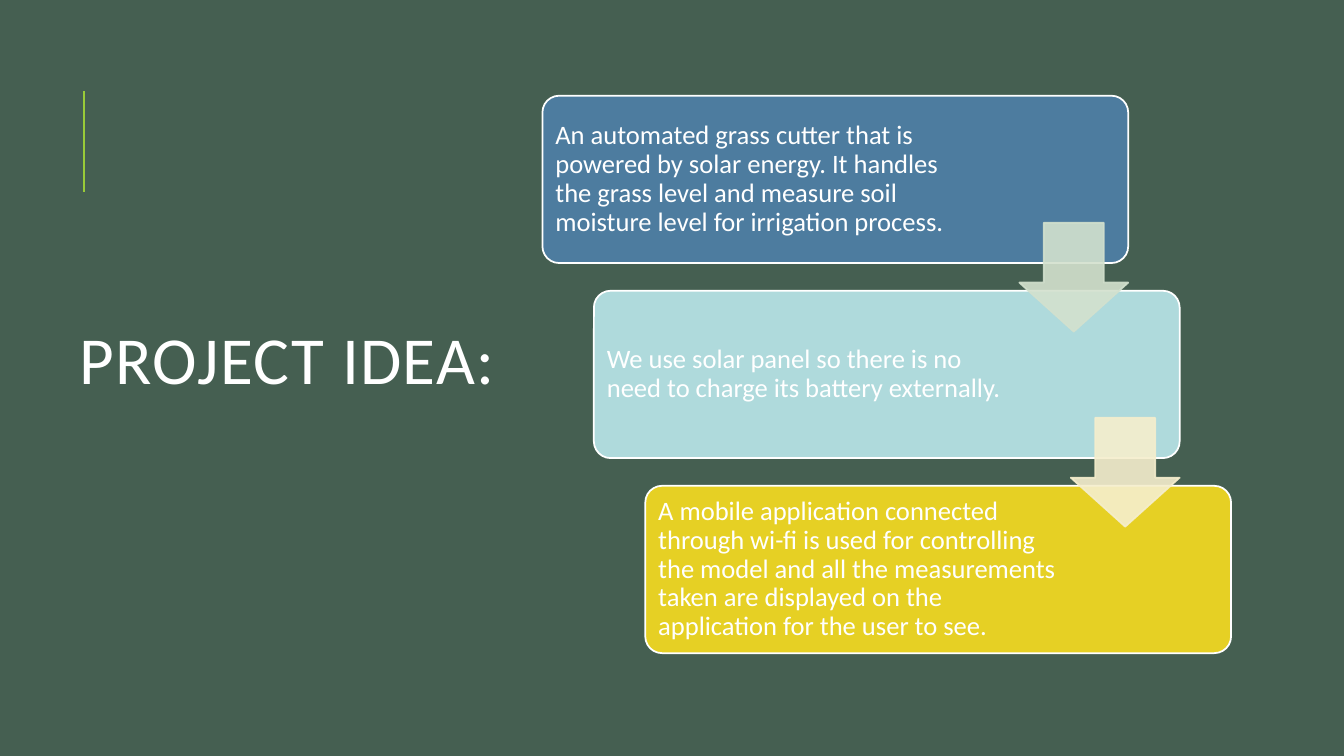
import pptx
import pptx.dml.color
import pptx.enum.shapes
import pptx.enum.text
import pptx.oxml
import pptx.oxml.ns
import pptx.util
from dataclasses import dataclass

Inches = pptx.util.Inches
Shapes = pptx.enum.shapes.MSO_SHAPE
TITLE = "PROJECT IDEA:"
IDEAS = [
    ("An automated grass cutter that is powered by solar energy. It handles the grass level "
     "and measure soil moisture level for irrigation process.", "4D7C9F"),
    ("We use solar panel so there is no need to charge its battery externally.", "AFDADC"),
    ("A mobile application connected through wi-fi is used for controlling the model and all "
     "the measurements taken are displayed on the application for the user to see.", "E6D024"),
]
ARROW_COLORS = ["D3E1CE", "F5EECD"]


@dataclass
class Theme:
    background: str = "455F51"
    accent: str = "99CB38"
    white: str = "FFFFFF"
    font: str = "Calibri"
    title_size: int = 48
    body_size: int = 19
    accent_width: float = 1.5
    outline_width: float = 1.25
    arrow_opacity: int = 90


theme = Theme()
CARD_LEFT, CARD_TOP = 5.38, 0.95
CARD_WIDTH, CARD_HEIGHT = 5.81, 1.66
STEP_X, STEP_Y = 0.51, 1.935
ARROW_SIZE, ARROW_DROP = 1.08, 1.26
TEXT_INSET, ARROW_MARGIN = 0.08, 1.67


def rgb(value):
    return pptx.dml.color.RGBColor.from_string(value)


def add_text(paragraph, text, size, spacing):
    paragraph.alignment = pptx.enum.text.PP_ALIGN.LEFT
    paragraph.line_spacing = spacing
    run = paragraph.add_run()
    run.text = text
    run.font.name = theme.font
    run.font.size = pptx.util.Pt(size)
    run.font.color.rgb = rgb(theme.white)
    return run


def add_block(slide, kind, box, adjustments, fill, outline):
    shape = slide.shapes.add_shape(kind, *map(Inches, box))
    shape.shadow.inherit = False
    for index, value in enumerate(adjustments):
        shape.adjustments[index] = value
    shape.fill.solid()
    shape.fill.fore_color.rgb = rgb(fill)
    shape.line.color.rgb = rgb(outline)
    shape.line.width = pptx.util.Pt(theme.outline_width)
    return shape


def set_opacity(shape, percent):
    for color in shape.element.spPr.iter(pptx.oxml.ns.qn("a:srgbClr")):
        alpha = pptx.oxml.parse_xml(f'<a:alpha {pptx.oxml.ns.nsdecls("a")} val="{percent * 1000}"/>')
        color.append(alpha)


def add_title(slide):
    title = slide.shapes.title
    title.left, title.top, title.width, title.height = map(Inches, (0.69, 0.54, 4.59, 6.17))
    frame = title.text_frame
    frame.auto_size = pptx.enum.text.MSO_AUTO_SIZE.NONE
    frame.vertical_anchor = pptx.enum.text.MSO_ANCHOR.MIDDLE
    run = add_text(frame.paragraphs[0], TITLE, theme.title_size, 0.8)
    run.font._element.set("spc", "100")


def add_accent(slide):
    ends = map(Inches, (0.83, 1.9, 0.83, 0.9))
    accent = slide.shapes.add_connector(pptx.enum.shapes.MSO_CONNECTOR.STRAIGHT, *ends)
    accent.line.color.rgb = rgb(theme.accent)
    accent.line.width = pptx.util.Pt(theme.accent_width)
    no_effects = pptx.oxml.parse_xml(f'<a:effectLst {pptx.oxml.ns.nsdecls("a")}/>')
    accent._element.spPr.append(no_effects)


def add_card(slide, index, text, fill):
    box = (CARD_LEFT + index * STEP_X, CARD_TOP + index * STEP_Y, CARD_WIDTH, CARD_HEIGHT)
    card = add_block(slide, Shapes.ROUNDED_RECTANGLE, box, [0.1], fill, theme.white)
    frame = card.text_frame
    frame.word_wrap = True
    frame.vertical_anchor = pptx.enum.text.MSO_ANCHOR.MIDDLE
    frame.margin_left = frame.margin_top = frame.margin_bottom = Inches(TEXT_INSET)
    frame.margin_right = Inches(ARROW_MARGIN)
    add_text(frame.paragraphs[0], text, theme.body_size, 0.9)


def add_arrow(slide, index, color):
    left = CARD_LEFT + CARD_WIDTH - ARROW_SIZE + index * STEP_X
    top = CARD_TOP + ARROW_DROP + index * STEP_Y
    box = (left, top, ARROW_SIZE, ARROW_SIZE)
    arrow = add_block(slide, Shapes.DOWN_ARROW, box, [0.55, 0.45], color, color)
    set_opacity(arrow, theme.arrow_opacity)


def main():
    presentation = pptx.Presentation()
    presentation.slide_width, presentation.slide_height = Inches(13.33), Inches(7.5)
    slide = presentation.slides.add_slide(presentation.slide_layouts[5])
    slide.background.fill.solid()
    slide.background.fill.fore_color.rgb = rgb(theme.background)
    add_accent(slide)
    add_title(slide)
    for index, (text, fill) in enumerate(IDEAS):
        add_card(slide, index, text, fill)
    for index, color in enumerate(ARROW_COLORS):
        add_arrow(slide, index, color)
    presentation.save("out.pptx")


if __name__ == "__main__":
    main()
